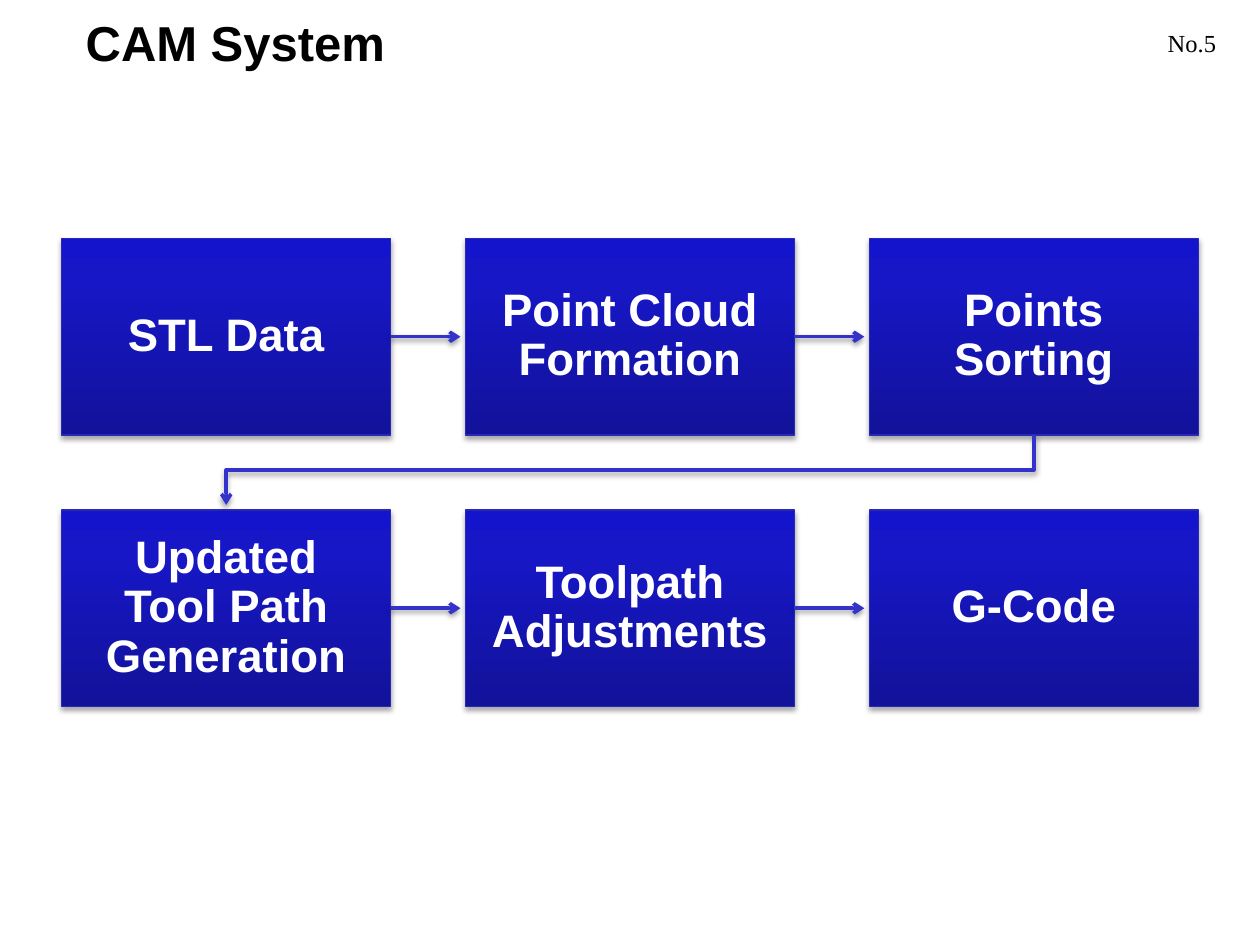
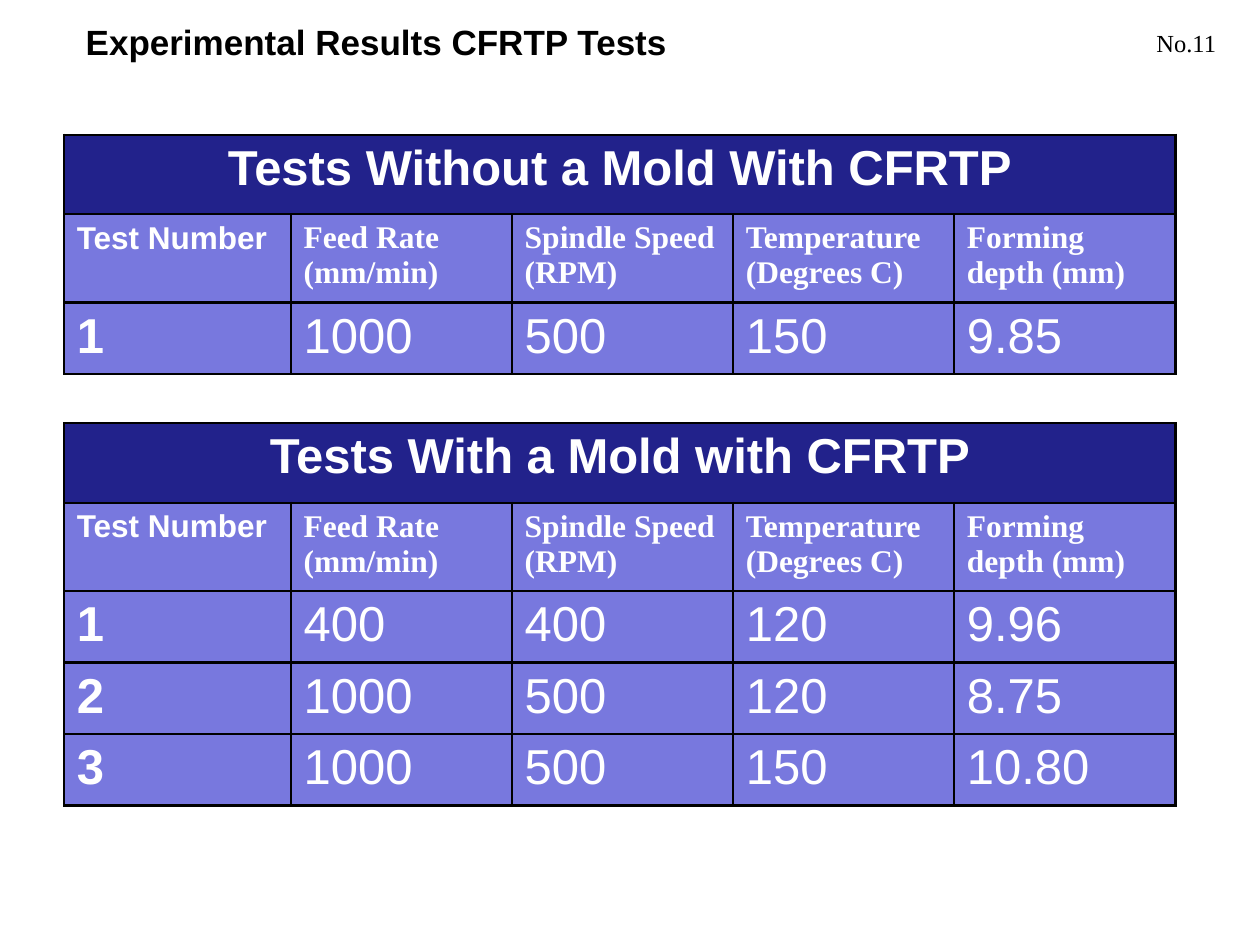
"""Build the CAM workflow slide and the CFRTP test results slide."""
import copy

import pptx
import pptx.dml.color
import pptx.enum.shapes
import pptx.enum.text
import pptx.oxml
import pptx.oxml.ns
import pptx.util
from lxml import etree

COLOURS = {
    "text": "000000",
    "inverse": "FFFFFF",
    "box_dark": "12129A",
    "box_mid": "1717C8",
    "box_light": "1414CC",
    "box_edge": "2929B8",
    "arrow": "3333CC",
    "table_head": "22228B",
    "table_body": "7878DE",
    "border": "000000",
}
RGB = {name: pptx.dml.color.RGBColor.from_string(value) for name, value in COLOURS.items()}
SANS, SERIF = "Arial", "Times New Roman"
NAMESPACE = 'xmlns:a="http://schemas.openxmlformats.org/drawingml/2006/main"'
WIDTH, HEIGHT = 10, 7.5
Inches, Pt = pptx.util.Inches, pptx.util.Pt
ALIGN = pptx.enum.text.PP_ALIGN
MIDDLE = pptx.enum.text.MSO_ANCHOR.MIDDLE


def write(frame, text, size, colour, font=SANS, bold=False, align=ALIGN.LEFT):
    """Put one styled paragraph in a text frame."""
    frame.text = text
    paragraph = frame.paragraphs[0]
    paragraph.alignment = align
    style = paragraph.runs[0].font
    style.name, style.size, style.bold = font, Pt(size), bold
    style.color.rgb = RGB[colour]
    return paragraph


def cast_shadow(properties, opacity, distance):
    """Give shape properties a soft shadow falling straight down."""
    for effects in properties.findall(pptx.oxml.ns.qn("a:effectLst")):
        properties.remove(effects)
    properties.append(pptx.oxml.parse_xml(
        f'<a:effectLst {NAMESPACE}><a:outerShdw blurRad="{Pt(3.1)}" dist="{Pt(distance)}" '
        f'dir="5400000" rotWithShape="0"><a:srgbClr val="{COLOURS["text"]}">'
        f'<a:alpha val="{opacity * 1000}"/></a:srgbClr></a:outerShdw></a:effectLst>'))


deck = pptx.Presentation()
deck.slide_width, deck.slide_height = Inches(WIDTH), Inches(HEIGHT)

slides = []
for heading, heading_size, heading_width, number in [
    ("CAM System", 28, 7.08, "No.5"),
    ("Experimental Results CFRTP Tests", 20, 9.17, "No.11"),
]:
    slide = deck.slides.add_slide(deck.slide_layouts[5])
    title = slide.shapes.title
    title.left, title.top = Inches(0.58), Inches(0.08)
    title.width, title.height = Inches(heading_width), Inches(0.5)
    title.text_frame.auto_size = pptx.enum.text.MSO_AUTO_SIZE.NONE
    title.text_frame.vertical_anchor = MIDDLE
    write(title.text_frame, heading, heading_size, "text", bold=True)
    page = slide.shapes.add_textbox(Inches(7.67), Inches(0.17), Inches(2.08), Inches(0.5))
    page.text_frame.word_wrap = True
    write(page.text_frame, number, 14, "text", font=SERIF, align=ALIGN.RIGHT)
    slides.append(slide)
workflow, results = slides

STEPS = ["STL Data", "Point Cloud Formation", "Points Sorting",
         "Updated Tool Path Generation", "Toolpath Adjustments", "G-Code"]
COLUMNS, ROWS = 3, 2
BOX_WIDTH, BOX_HEIGHT, MARGIN, ARROW_CLEARANCE = 2.61, 1.56, 0.49, 0.04
gap = (WIDTH - 2 * MARGIN - COLUMNS * BOX_WIDTH) / (COLUMNS - 1)
grid_top = (HEIGHT - ROWS * BOX_HEIGHT - (ROWS - 1) * gap) / 2

boxes = []
for index, step in enumerate(STEPS):
    row, column = divmod(index, COLUMNS)
    box = workflow.shapes.add_shape(
        pptx.enum.shapes.MSO_SHAPE.RECTANGLE,
        Inches(MARGIN + column * (BOX_WIDTH + gap)), Inches(grid_top + row * (BOX_HEIGHT + gap)),
        Inches(BOX_WIDTH), Inches(BOX_HEIGHT))
    box.shadow.inherit = False
    box.fill.gradient()
    box.fill.gradient_angle = 90
    stop_list = box._element.spPr.find(".//" + pptx.oxml.ns.qn("a:gsLst"))
    stop_list.insert(1, copy.deepcopy(stop_list[0]))
    for stop, (position, colour) in zip(
            box.fill.gradient_stops, [(0, "box_dark"), (0.8, "box_mid"), (1, "box_light")]):
        stop.position = position
        stop.color.rgb = RGB[colour]
    box.line.color.rgb = RGB["box_edge"]
    box.line.width = Pt(0.75)
    cast_shadow(box._element.spPr, 35, 1.8)
    frame = box.text_frame
    frame.word_wrap = True
    frame.vertical_anchor = MIDDLE
    frame.margin_left = frame.margin_right = frame.margin_top = frame.margin_bottom = Inches(0.2)
    write(frame, step, 26, "inverse", bold=True, align=ALIGN.CENTER).line_spacing = 0.9
    boxes.append(box)

for source, target in zip(boxes, boxes[1:]):
    if source.top == target.top:
        middle = source.top + source.height // 2
        arrow = workflow.shapes.add_connector(
            pptx.enum.shapes.MSO_CONNECTOR.STRAIGHT, source.left + source.width, middle,
            target.left - Inches(ARROW_CLEARANCE), middle)
        arrow.begin_connect(source, 3)
    else:
        start_x, end_x = (part.left + part.width // 2 for part in (source, target))
        start_y, end_y = source.top + source.height, target.top - Inches(ARROW_CLEARANCE)
        drop, run = end_y - start_y, start_x - end_x
        left, top = (start_x + end_x - drop) // 2, (start_y + end_y - run) // 2
        arrow = workflow.shapes.add_connector(
            pptx.enum.shapes.MSO_CONNECTOR.ELBOW, left, top, left + drop, top + run)
        arrow._element.spPr.find(pptx.oxml.ns.qn("a:xfrm")).set("rot", "5400000")
    arrow.line.color.rgb = RGB["arrow"]
    arrow.line.width = Pt(2)
    etree.SubElement(arrow.line._get_or_add_ln(), pptx.oxml.ns.qn("a:tailEnd"), type="arrow")
    cast_shadow(arrow._element.spPr, 38, 1.6)

HEADINGS = ["Test Number", "Feed Rate (mm/min)", "Spindle Speed (RPM)",
            "Temperature (Degrees C)", "Forming depth (mm)"]
TESTS = [
    ("Tests Without a Mold With CFRTP", 1.07, [["1", "1000", "500", "150", "9.85"]]),
    ("Tests With a Mold with CFRTP", 3.36, [
        ["1", "400", "400", "120", "9.96"],
        ["2", "1000", "500", "120", "8.75"],
        ["3", "1000", "500", "150", "10.80"],
    ]),
]
COLUMN_WIDTHS = [1.8] + [1.755] * 4

for caption, table_top, measurements in TESTS:
    rows = [[caption] + [""] * 4, HEADINGS] + measurements
    row_heights = [0.63, 0.65] + [0.535] * len(measurements)
    table = results.shapes.add_table(
        len(rows), len(HEADINGS), Inches(0.51), Inches(table_top),
        Inches(sum(COLUMN_WIDTHS)), Inches(sum(row_heights))).table
    for column, width in zip(table.columns, COLUMN_WIDTHS):
        column.width = Inches(width)
    for row, height in zip(table.rows, row_heights):
        row.height = Inches(height)
    table.cell(0, 0).merge(table.cell(0, len(HEADINGS) - 1))
    for r, values in enumerate(rows):
        for c, value in enumerate(values):
            cell = table.cell(r, c)
            for side in ("lnL", "lnR", "lnT", "lnB"):
                cell._tc.get_or_add_tcPr().append(pptx.oxml.parse_xml(
                    f'<a:{side} {NAMESPACE} w="{Pt(1.5)}"><a:solidFill>'
                    f'<a:srgbClr val="{COLOURS["border"]}"/></a:solidFill></a:{side}>'))
            cell.fill.solid()
            cell.fill.fore_color.rgb = RGB["table_body" if r else "table_head"]
            if value:
                write(cell.text_frame, value, 18 if r == 1 else 28, "inverse",
                      font=SERIF if r == 1 and c else SANS, bold=r < 2 or c == 0,
                      align=ALIGN.LEFT if r else ALIGN.CENTER)

deck.save("out.pptx")
